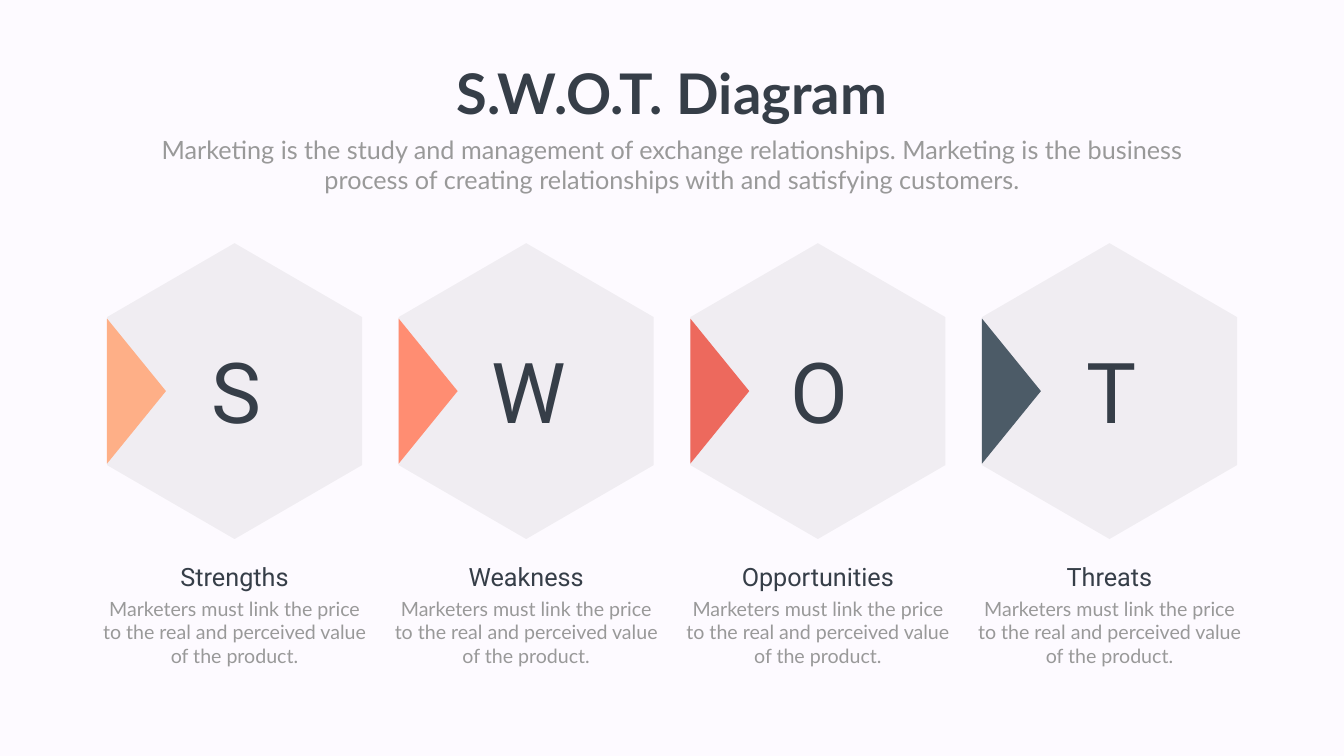
from dataclasses import dataclass

from lxml.etree import SubElement
from pptx import Presentation
from pptx.dml.color import RGBColor
from pptx.enum.shapes import MSO_SHAPE as Preset
from pptx.enum.text import MSO_ANCHOR as Anchor, MSO_AUTO_SIZE as AutoSize, PP_ALIGN as Align
from pptx.oxml.ns import qn
from pptx.shapes.autoshape import Shape
from pptx.slide import Slide
from pptx.util import Inches, Pt

WIDTH, HEIGHT = 26.66, 15
COLORS = {
    "background": "FDFAFF",
    "hexagon": "808080",
    "dark": "363E48",
    "gray": "999999",
    "peach": "FEAF87",
    "coral": "FF8D72",
    "red": "ED695D",
    "slate": "4C5B67",
}

PITCH = 0.217 * WIDTH
MIDDLE = 7.76
HEXAGON_LENGTH, HEXAGON_WIDTH = 5.87, 5.06
ARROW_LENGTH, ARROW_WIDTH = 2.88, 1.17
DESCRIPTION = "Marketers must link the price to the real and perceived value of the product."


@dataclass(frozen=True)
class Quadrant:
    name: str
    color: str


@dataclass(frozen=True)
class TextStyle:
    font: str
    size: int
    color: str
    bold: bool = False


TITLE = TextStyle("Lato", 80, "dark", True)
SUBTITLE = TextStyle("Lato", 36, "gray")
LETTER = TextStyle("Roboto", 120, "dark")
HEADING = TextStyle("Roboto", 36, "dark")
BODY = TextStyle("Lato", 28, "gray")

QUADRANTS = [
    Quadrant("Strengths", "peach"),
    Quadrant("Weakness", "coral"),
    Quadrant("Opportunities", "red"),
    Quadrant("Threats", "slate"),
]


def place(shape: Shape, center: float, top: float, width: float, height: float) -> None:
    shape.left, shape.top = Inches(center - width / 2), Inches(top)
    shape.width, shape.height = Inches(width), Inches(height)


def write(shape: Shape, text: str, style: TextStyle) -> None:
    frame = shape.text_frame
    frame.text = text
    frame.word_wrap = True
    frame.auto_size = AutoSize.NONE
    frame.vertical_anchor = Anchor.TOP
    paragraph = frame.paragraphs[0]
    paragraph.alignment = Align.CENTER
    paragraph.space_before = Pt(0)
    font = paragraph.runs[0].font
    font.name, font.size, font.bold = style.font, Pt(style.size), style.bold
    font.color.rgb = RGBColor.from_string(COLORS[style.color])


def add_text(slide: Slide, text: str, style: TextStyle,
             center: float, top: float, width: float, height: float) -> None:
    box = slide.shapes.add_textbox(0, 0, 0, 0)
    place(box, center, top, width, height)
    write(box, text, style)


def add_turned_shape(slide: Slide, preset: Preset, center: float,
                     length: float, width: float, color: str) -> Shape:
    """Add a shape turned by 90 degrees, centred on the middle row."""
    shape = slide.shapes.add_shape(preset, 0, 0, 0, 0)
    place(shape, center, MIDDLE - width / 2, length, width)
    shape.rotation = 90
    shape.shadow.inherit = False
    shape.fill.solid()
    shape.fill.fore_color.rgb = RGBColor.from_string(COLORS[color])
    shape.line.fill.background()
    return shape


def set_opacity(shape: Shape, percent: int) -> None:
    color = shape.fill._xPr.find(qn("a:solidFill"))[0]
    SubElement(color, qn("a:alpha"), val=str(percent * 1000))


def add_quadrant(slide: Slide, quadrant: Quadrant, center: float) -> None:
    hexagon = add_turned_shape(slide, Preset.HEXAGON, center,
                               HEXAGON_LENGTH, HEXAGON_WIDTH, "hexagon")
    hexagon.adjustments[0] = 0.29
    set_opacity(hexagon, 10)
    arrow_center = center - (HEXAGON_WIDTH - ARROW_WIDTH) / 2
    add_turned_shape(slide, Preset.ISOSCELES_TRIANGLE, arrow_center,
                     ARROW_LENGTH, ARROW_WIDTH, quadrant.color)
    add_text(slide, quadrant.name[0], LETTER, center + 0.04, 6.69, 1.67, 2.12)
    add_text(slide, quadrant.name, HEADING, center, 11.08, 3.57, 0.71)
    add_text(slide, DESCRIPTION, BODY, center, 11.79, 5.47, 1.51)


def main() -> None:
    presentation = Presentation()
    presentation.slide_width, presentation.slide_height = Inches(WIDTH), Inches(HEIGHT)
    slide = presentation.slides.add_slide(presentation.slide_layouts[0])
    background = slide.background.fill
    background.solid()
    background.fore_color.rgb = RGBColor.from_string(COLORS["background"])

    title, subtitle = slide.placeholders
    place(title, WIDTH / 2, 1.12, 9.07, 1.45)
    write(title, "S.W.O.T. Diagram", TITLE)
    place(subtitle, WIDTH / 2, 2.61, 20.82, 1.31)
    write(subtitle, "Marketing is the study and management of exchange relationships. "
          "Marketing is the business process of creating relationships with "
          "and satisfying customers.", SUBTITLE)

    for column, quadrant in enumerate(QUADRANTS):
        center = WIDTH / 2 + (column - (len(QUADRANTS) - 1) / 2) * PITCH
        add_quadrant(slide, quadrant, center)

    presentation.save("out.pptx")


if __name__ == "__main__":
    main()
